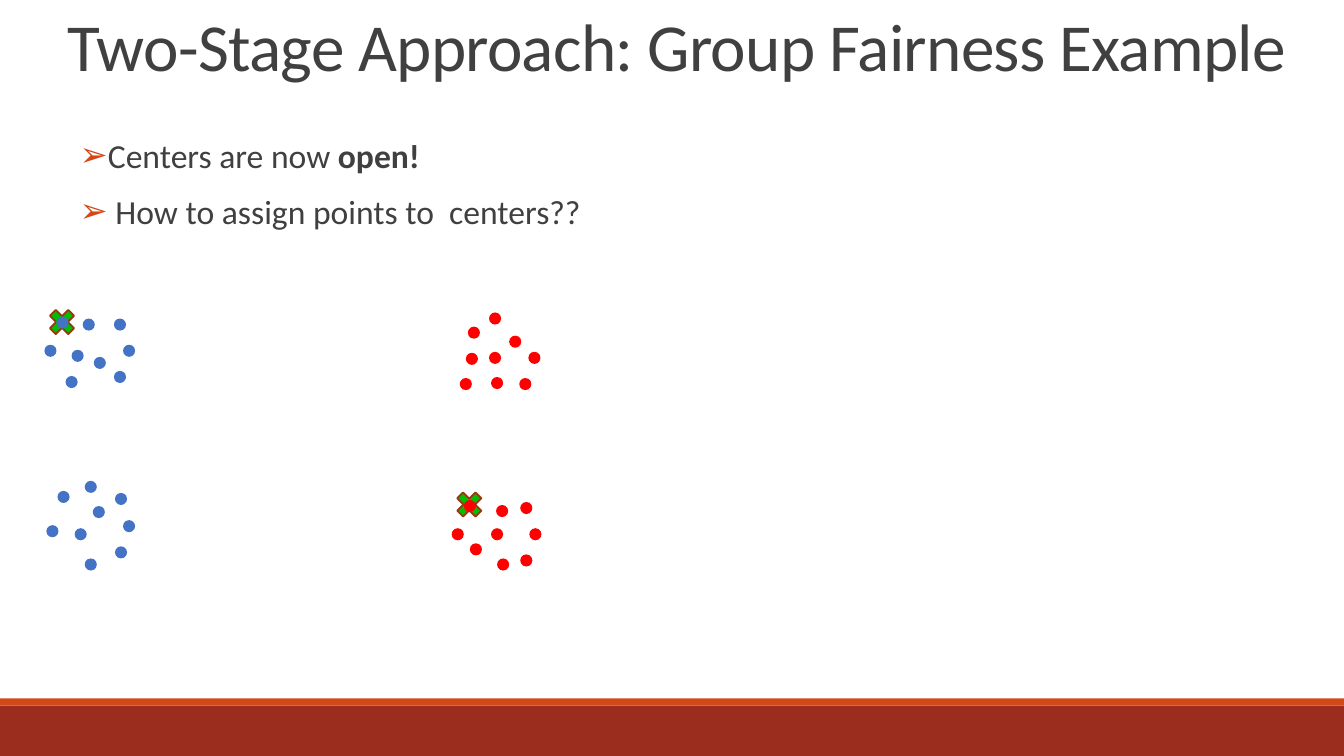
from lxml.etree import SubElement
from pptx import Presentation
from pptx.dml.color import RGBColor
from pptx.enum.shapes import MSO_SHAPE
from pptx.enum.text import MSO_ANCHOR, MSO_AUTO_SIZE, PP_ALIGN
from pptx.oxml.ns import qn
from pptx.util import Pt

PX = 9144  # EMU per px, 100 px to the inch
WIDTH, HEIGHT = 1333, 750
DOT, CROSS = 12, 35
FONT, TEXT = "Calibri", "404040"
RED, BLUE, GREEN, ORANGE, BROWN = "FF0000", "4472C4", "00BE00", "D34817", "9B2D1F"

# Clusters: colour, left, top, whether a center is open, dot offsets
CLUSTERS = [
    (BLUE, 44, 302, True,
     [(21, 71), (49, 52), (12, 12), (0, 40), (69, 66),
      (78, 40), (69, 14), (38, 14), (27, 45)]),
    (RED, 456, 310, False,
     [(0, 65), (31, 64), (8, 14), (6, 40), (59, 65),
      (68, 39), (49, 23), (29, 0), (29, 39)]),
    (BLUE, 46, 477, False,
     [(0, 44), (38, 77), (11, 10), (28, 47), (68, 65),
      (76, 39), (68, 12), (38, 0), (46, 25)]),
    (RED, 448, 483, True,
     [(18, 56), (45, 71), (12, 13), (0, 41), (68, 67),
      (77, 41), (68, 15), (44, 18), (39, 41)]),
]
BULLETS = [
    [("Centers are now ", False), ("open!", True)],
    [(" How to assign points to  centers??", False)],
]


def rgb(color):
    return RGBColor.from_string(color)


def emu(*lengths):
    return [n * PX for n in lengths]


def add_shape(shapes, kind, box, fill, line=None):
    sp = shapes.add_shape(kind, *emu(*box))
    sp.shadow.inherit = False
    sp.fill.solid()
    sp.fill.fore_color.rgb = rgb(fill)
    if line:
        sp.line.color.rgb = rgb(line)
        sp.line.width = Pt(1.25)
    else:
        sp.line.fill.background()
    return sp


def place(sp, box, anchor):
    sp.left, sp.top, sp.width, sp.height = emu(*box)
    tf = sp.text_frame
    tf.word_wrap = True
    tf.auto_size = MSO_AUTO_SIZE.NONE
    tf.vertical_anchor = anchor
    return tf


def add_run(p, text, size, bold=False):
    r = p.add_run()
    r.text = text
    r.font.name = FONT
    r.font.size = Pt(size)
    r.font.bold = bold
    r.font.color.rgb = rgb(TEXT)
    return r


def add_bullet(p, char, color):
    pPr = p._p.get_or_add_pPr()
    pPr.set("marL", str(10 * PX))
    pPr.set("indent", str(-10 * PX))
    SubElement(SubElement(pPr, qn("a:buClr")), qn("a:srgbClr"), val=color)
    SubElement(pPr, qn("a:buFont"), typeface=FONT)
    SubElement(pPr, qn("a:buChar"), char=char)


def footer(s, box):
    left, top, width, height = box
    stripe = 7
    add_shape(s.shapes, MSO_SHAPE.RECTANGLE,
              (left, top + stripe, width, height - stripe), BROWN)
    add_shape(s.shapes, MSO_SHAPE.RECTANGLE, (left, top, width, stripe), ORANGE)


def title(s, box, text):
    tf = place(s.shapes.title, box, MSO_ANCHOR.BOTTOM)
    p = tf.paragraphs[0]
    p.alignment = PP_ALIGN.LEFT
    p.line_spacing = 0.85
    r = add_run(p, text, 48)
    r._r.get_or_add_rPr().set("spc", "-50")


def body(s, box, bullets):
    tf = place(s.placeholders[1], box, MSO_ANCHOR.TOP)
    for i, runs in enumerate(bullets):
        p = tf.add_paragraph() if i else tf.paragraphs[0]
        add_bullet(p, "➢", ORANGE)
        p.line_spacing = 0.9
        p.space_before = Pt(12 if i else 0)
        p.space_after = Pt(2)
        for text, bold in runs:
            add_run(p, text, 24, bold)


def cluster(s, color, left, top, is_open, dots):
    group = s.shapes.add_group_shape()
    if is_open:
        add_shape(group.shapes, MSO_SHAPE.MATH_MULTIPLY,
                  (left, top, CROSS, CROSS), GREEN, "9C3511")
    for x, y in dots:
        add_shape(group.shapes, MSO_SHAPE.OVAL, (left + x, top + y, DOT, DOT), color)


def main():
    prs = Presentation()
    prs.slide_width, prs.slide_height = emu(WIDTH, HEIGHT)
    s = prs.slides.add_slide(prs.slide_layouts[1])
    footer(s, (0, 693, WIDTH, HEIGHT - 693))
    title(s, (57, -69, 1324, 159), "Two-Stage Approach: Group Fairness Example")
    for item in CLUSTERS:
        cluster(s, *item)
    body(s, (69, 133, 1161, 483), BULLETS)
    prs.save("out.pptx")


if __name__ == "__main__":
    main()
